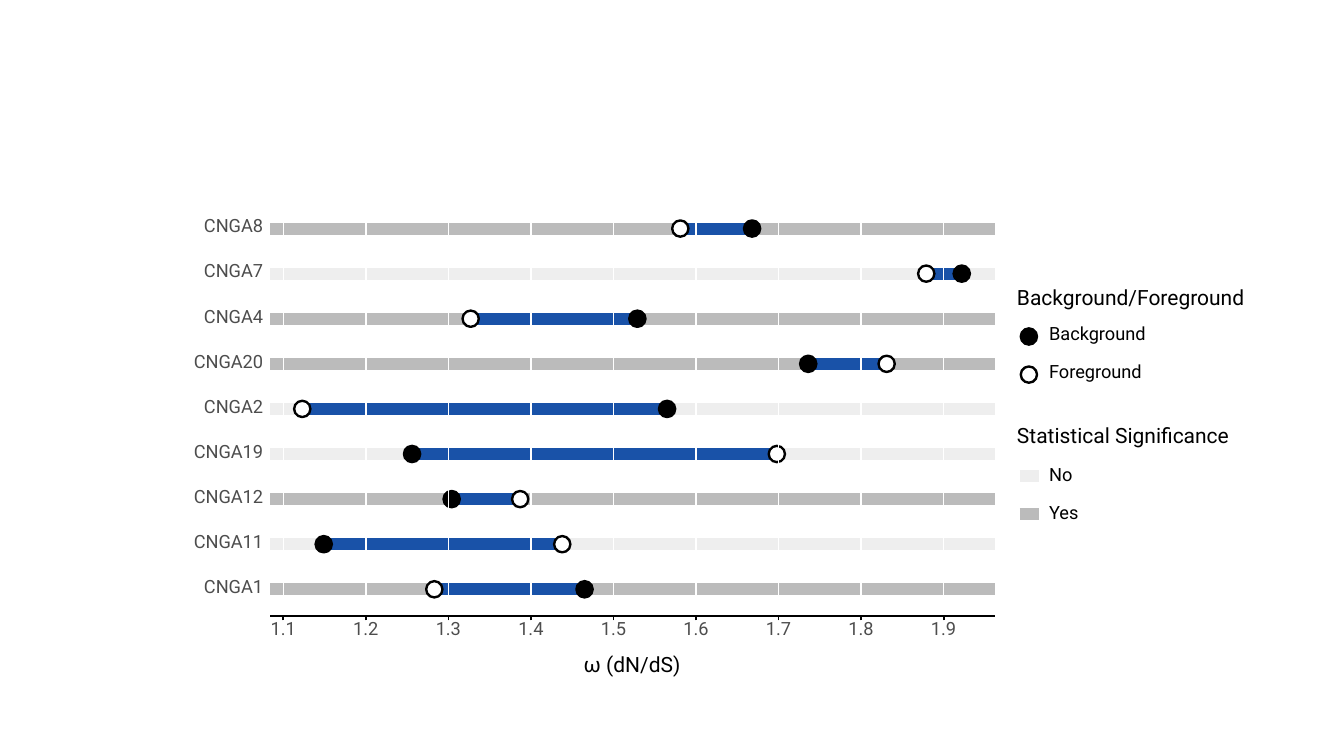
"""Build a slide with a dumbbell plot of dN/dS by gene."""
from lxml.etree import SubElement
from pptx import Presentation
from pptx.dml.color import RGBColor
from pptx.enum.shapes import MSO_CONNECTOR, MSO_SHAPE
from pptx.enum.text import MSO_ANCHOR, PP_ALIGN
from pptx.oxml.ns import qn
from pptx.util import Cm, Pt

BLACK = RGBColor(0x00, 0x00, 0x00)
WHITE = RGBColor(0xFF, 0xFF, 0xFF)
BLUE = RGBColor(0x19, 0x52, 0xA8)
LABEL = RGBColor(0x4D, 0x4D, 0x4D)
BAND = {"No": RGBColor(0xEE, 0xEE, 0xEE), "Yes": RGBColor(0xBB, 0xBB, 0xBB)}

# Gene, background ω × 100, foreground ω × 100, significance
GENES = [
    ("CNGA8", 166.8, 158.1, "Yes"),
    ("CNGA7", 192.2, 187.9, "No"),
    ("CNGA4", 152.9, 132.7, "Yes"),
    ("CNGA20", 173.6, 183.1, "Yes"),
    ("CNGA2", 156.5, 112.3, "No"),
    ("CNGA19", 125.6, 169.8, "No"),
    ("CNGA12", 130.4, 138.7, "Yes"),
    ("CNGA11", 114.9, 143.8, "No"),
    ("CNGA1", 146.5, 128.3, "Yes"),
]
TICKS = range(110, 200, 10)
LEFT, RIGHT, TOP, AXIS = 6.81, 25.07, 5.08, 15.53
FIRST_ROW, LAST_ROW = 5.76, 14.85
ROW_STEP = (LAST_ROW - FIRST_ROW) / (len(GENES) - 1)


def x_of(value):
    """Return the horizontal place of a value given in hundredths."""
    return 7.14 + (value - 110) / 10 * 2.08


def write(tf, text, size=13, color=BLACK, align=PP_ALIGN.LEFT, font="Roboto"):
    """Put one formatted line of text into a text frame."""
    p = tf.paragraphs[0]
    p.alignment = align
    p.line_spacing = Pt(size)
    r = p.add_run()
    r.text = text
    r.font.name = font
    r.font.size = Pt(size)
    r.font.color.rgb = color


class Plot:
    """Draw plot elements on one slide in a shared style."""

    bar = 8.54
    dot_size = 0.41

    def __init__(self, slide):
        self.shapes = slide.shapes

    def line(self, x1, y1, x2, y2, color, width):
        """Draw a straight line."""
        sp = self.shapes.add_connector(
            MSO_CONNECTOR.STRAIGHT, Cm(x1), Cm(y1), Cm(x2), Cm(y2))
        sp.line.color.rgb = color
        sp.line.width = Pt(width)
        SubElement(sp._element.spPr, qn("a:effectLst"))

    def dot(self, x, y, fill):
        """Draw a round marker centred on a point."""
        d = self.dot_size
        sp = self.shapes.add_shape(
            MSO_SHAPE.OVAL, Cm(x - d / 2), Cm(y - d / 2), Cm(d), Cm(d))
        sp.shadow.inherit = False
        sp.fill.solid()
        sp.fill.fore_color.rgb = fill
        sp.line.color.rgb = BLACK
        sp.line.width = Pt(1.7)

    def text(self, text, x, y, width, **fmt):
        """Place a line of text at a left edge and a middle height."""
        sp = self.shapes.add_textbox(Cm(x), Cm(y - 0.25), Cm(width), Cm(0.5))
        tf = sp.text_frame
        tf.word_wrap = True
        tf.vertical_anchor = MSO_ANCHOR.MIDDLE
        tf.margin_left = tf.margin_right = tf.margin_top = tf.margin_bottom = 0
        write(tf, text, **fmt)


def draw_rows(plot):
    """Draw the bands, ranges, markers and gene names."""
    rows = [(FIRST_ROW + i * ROW_STEP, *gene) for i, gene in enumerate(GENES)]
    for y, _, _, _, significant in rows:
        plot.line(LEFT, y, RIGHT, y, BAND[significant], plot.bar)
    for y, name, back, fore, _ in rows:
        plot.line(x_of(back), y, x_of(fore), y, BLUE, plot.bar)
        plot.dot(x_of(back), y, BLACK)
        plot.dot(x_of(fore), y, WHITE)
        plot.text(name, 3.63, y - 0.03, 3, color=LABEL, align=PP_ALIGN.RIGHT)


def draw_axis(plot):
    """Draw the grid lines and the value axis."""
    for value in TICKS:
        plot.line(x_of(value), AXIS, x_of(value), TOP, WHITE, 1.07)
    plot.line(LEFT, AXIS, RIGHT, AXIS, BLACK, 1.28)
    for value in TICKS:
        x = x_of(value)
        plot.line(x, AXIS + 0.1, x, AXIS, BLACK, 1.28)
        plot.text(f"{value / 100:.1f}", x - 0.75, 15.88, 1.5,
                  color=LABEL, align=PP_ALIGN.CENTER)
    plot.text("ω (dN/dS)", LEFT, 16.79, RIGHT - LEFT - 0.02,
              size=15, align=PP_ALIGN.CENTER)


def draw_legends(plot):
    """Draw the two legends at the right."""
    plot.text("Background/Foreground", 25.63, 7.54, 6.5, size=15)
    for i, (name, fill) in enumerate((("Background", BLACK), ("Foreground", WHITE))):
        y = 8.48 + i * 0.96
        plot.dot(25.93, y, fill)
        plot.text(name, 26.44, y - 0.03, 4)
    plot.text("Statistical Significance", 25.63, 11.02, 6.5, size=15)
    for i, (name, color) in enumerate(BAND.items()):
        y = 11.99 + i * 0.96
        plot.line(25.7, y, 26.19, y, color, plot.bar)
        plot.text(name, 26.44, y, 4)


def main():
    """Build and save the presentation."""
    prs = Presentation()
    prs.slide_width, prs.slide_height = Cm(33.87), Cm(19.05)
    s = prs.slides.add_slide(prs.slide_layouts[6])
    plot = Plot(s)
    draw_rows(plot)
    draw_axis(plot)
    draw_legends(plot)
    prs.save("out.pptx")


if __name__ == "__main__":
    main()
